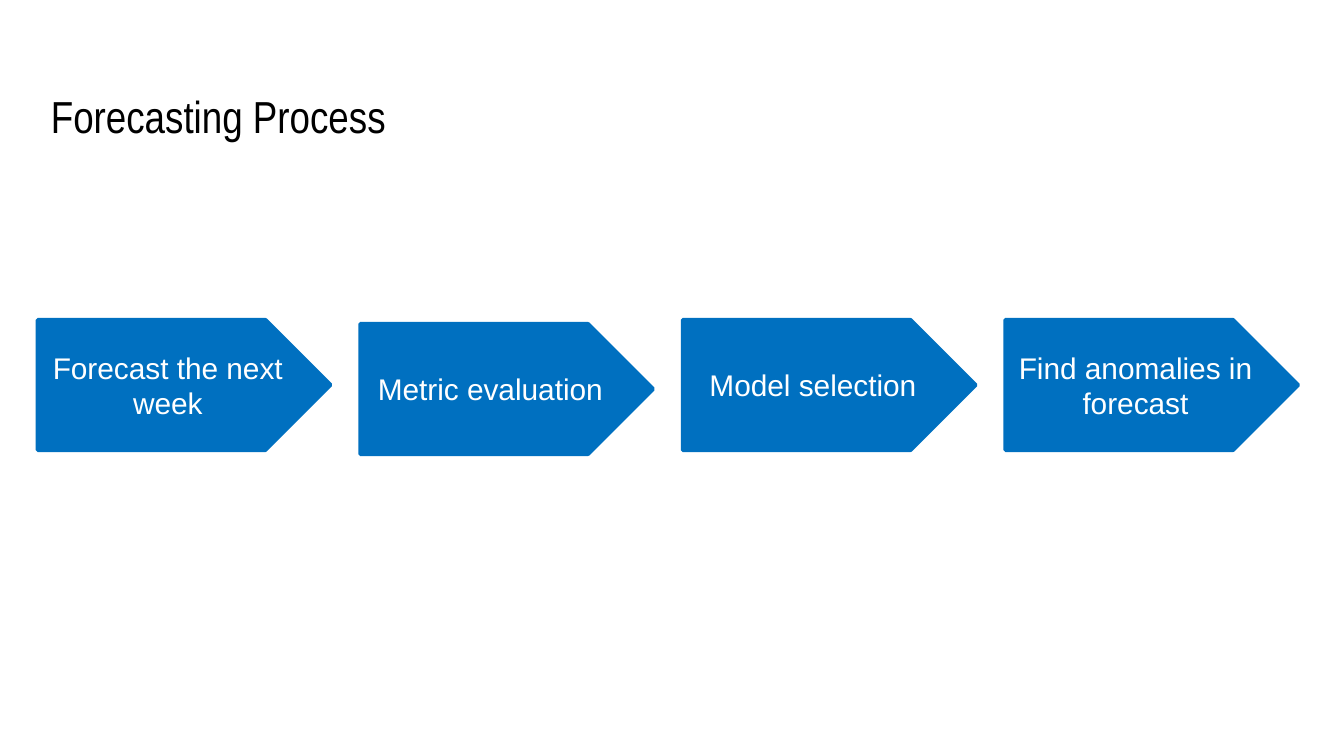
import pptx
import pptx.util
import pptx.dml.color
import pptx.enum.shapes
import pptx.enum.text

Inches, Pt = pptx.util.Inches, pptx.util.Pt
RGB = pptx.dml.color.RGBColor.from_string
ALIGN = pptx.enum.text.PP_ALIGN
ANCHOR = pptx.enum.text.MSO_ANCHOR
COLORS = {"title": "000000", "step": "0070C0", "label": "FFFFFF"}

# Grid: four columns from the left margin
LEFT, PITCH = 0.28, 2.4
STEP_W, STEP_H = 2.18, 0.97
ROW_TOP = 2.38


def write(s, text, size, font, color, align, anchor, inset_y=0.05):
    tf = s.text_frame
    tf.word_wrap = True
    tf.vertical_anchor = anchor
    tf.margin_left = tf.margin_right = Inches(0.1)
    tf.margin_top = tf.margin_bottom = Inches(inset_y)
    p = tf.paragraphs[0]
    p.alignment = align
    r = p.add_run()
    r.text = text
    r.font.size = Pt(size)
    r.font.name = font
    r.font.color.rgb = RGB(COLORS[color])


# Widescreen slide, 16:9
prs = pptx.Presentation()
prs.slide_width = Inches(10)
prs.slide_height = prs.slide_width * 9 // 16
slide = prs.slides.add_slide(prs.slide_layouts[6])

# Title
s = slide.shapes.add_textbox(Inches(LEFT), Inches(0.48), Inches(9.32), Inches(0.68))
write(s, "Forecasting Process", size=24, font="Arial Narrow", color="title",
      align=ALIGN.LEFT, anchor=ANCHOR.BOTTOM, inset_y=0.1)

# Process steps: label and drop below the row's top
steps = [
    ("Forecast the next week", 0),
    ("Metric evaluation", 0.03),
    ("Model selection", 0),
    ("Find anomalies in forecast", 0),
]
for col, (label, drop) in enumerate(steps):
    s = slide.shapes.add_shape(
        pptx.enum.shapes.MSO_SHAPE.PENTAGON,
        Inches(LEFT + col * PITCH), Inches(ROW_TOP + drop),
        Inches(STEP_W), Inches(STEP_H))
    s.shadow.inherit = False
    s.fill.solid()
    s.fill.fore_color.rgb = RGB(COLORS["step"])
    s.line.color.rgb = RGB(COLORS["step"])
    s.line.width = Pt(2)
    write(s, label, size=16, font="Arial", color="label",
          align=ALIGN.CENTER, anchor=ANCHOR.MIDDLE)

prs.save("out.pptx")
